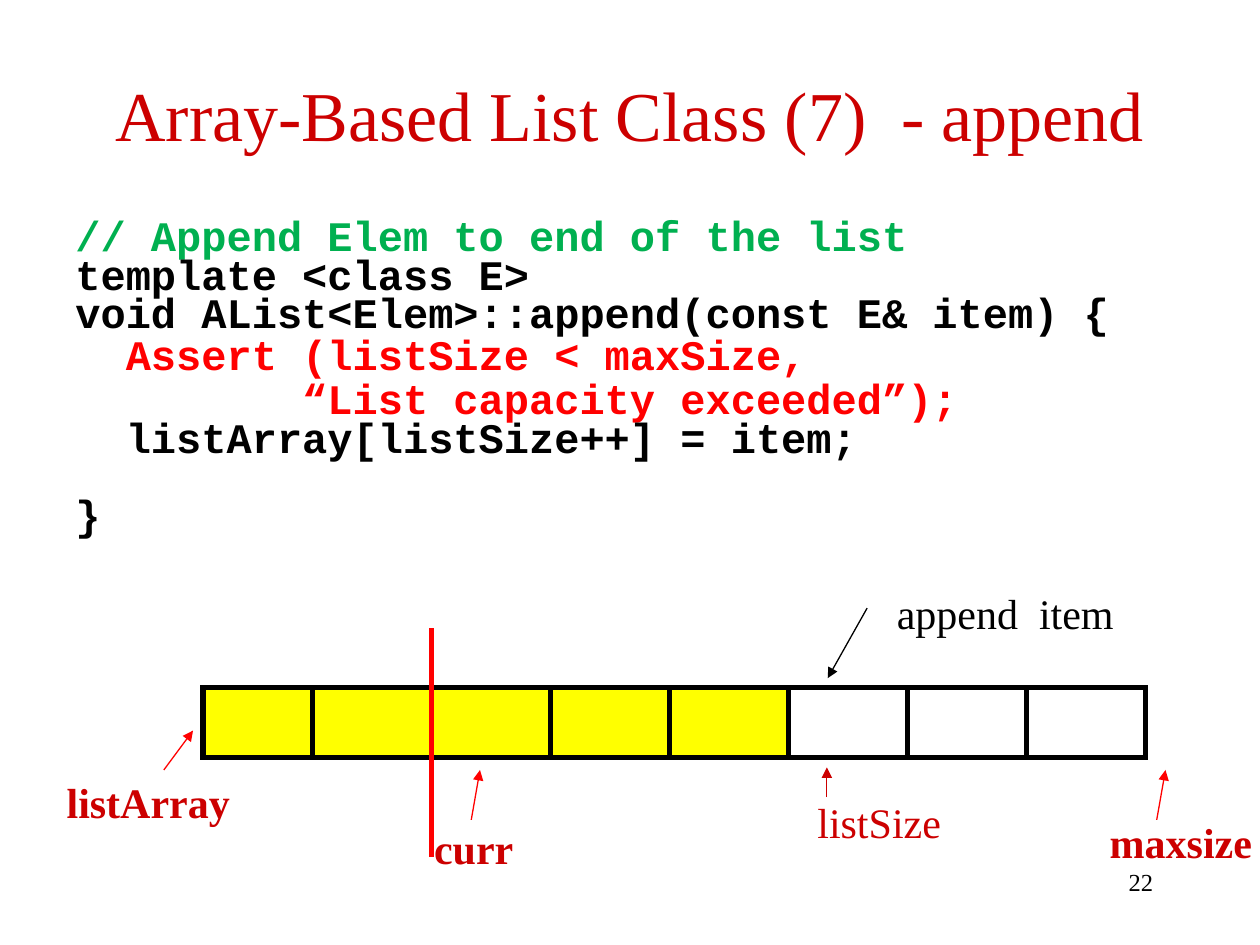
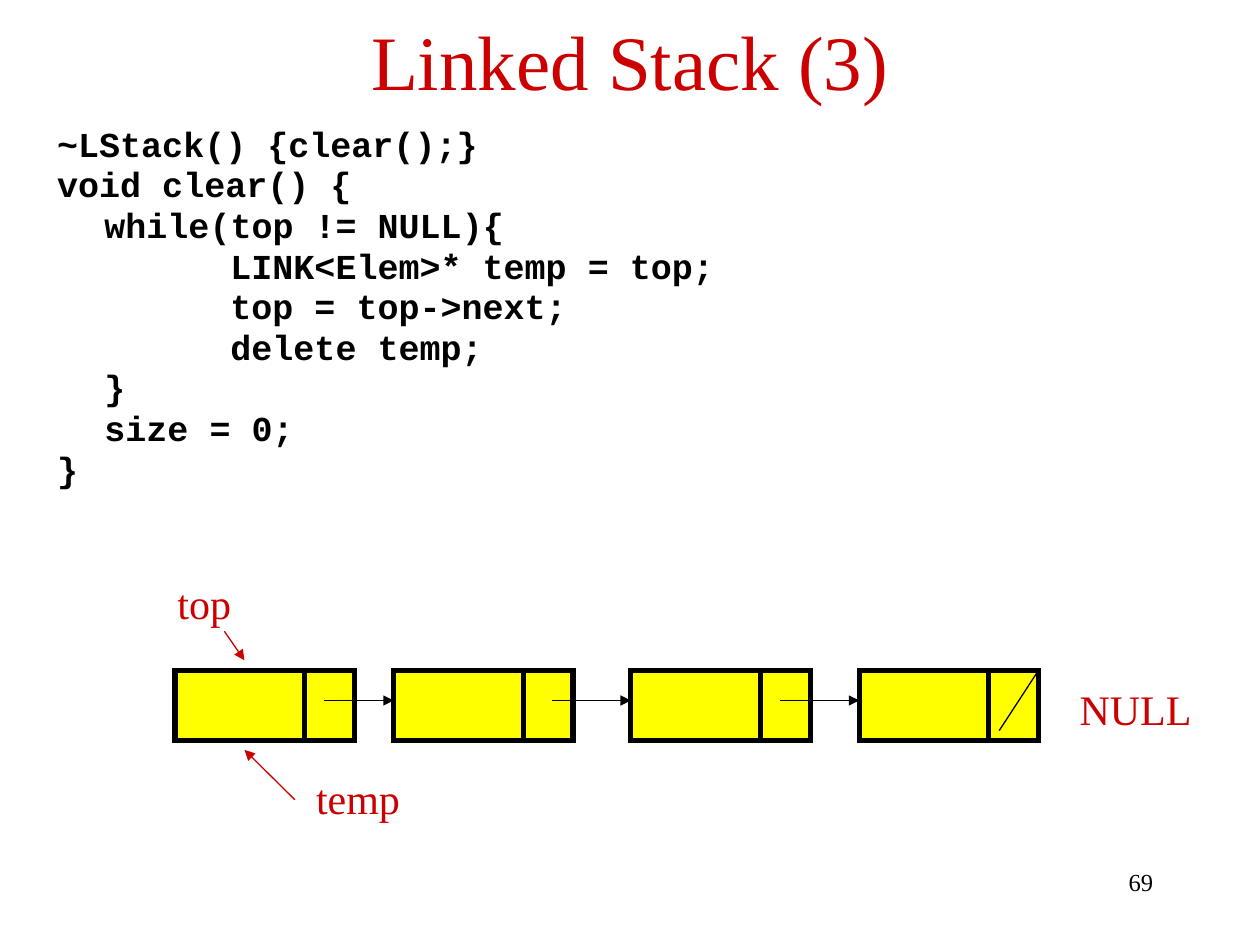
"""Build two slides on list append and linked stack clearing."""
import pptx
import pptx.dml.color
import pptx.enum.shapes
import pptx.enum.text
import pptx.util
from lxml import etree
from pptx.oxml.ns import qn

Pt = pptx.util.Pt
RGBColor = pptx.dml.color.RGBColor
ALIGN = pptx.enum.text.PP_ALIGN
ANCHOR = pptx.enum.text.MSO_ANCHOR

CRIMSON = RGBColor(0xCC, 0x00, 0x00)
RED = RGBColor(0xFF, 0x00, 0x00)
GREEN = RGBColor(0x00, 0xB0, 0x50)
YELLOW = RGBColor(0xFF, 0xFF, 0x00)
BLACK = RGBColor(0x00, 0x00, 0x00)

SERIF, MONO = "Times New Roman", "Courier New"
THICK, THIN = 3, 0.75
BOX_HEIGHT = 39.8
CODE_GAPS = {24: 4.6, 20: 4}

prs = pptx.Presentation()
prs.slide_width, prs.slide_height = Pt(720), Pt(540)


def add_text(slide, box, lines, font, color=BLACK, paragraph=None, frame=None):
    """Add a text box; each line is (text, overrides of color and paragraph values)."""
    text_frame = slide.shapes.add_textbox(*map(Pt, box)).text_frame
    for key, value in {"word_wrap": True, **(frame or {})}.items():
        setattr(text_frame, key, value)
    for index, (text, changes) in enumerate(lines):
        line = text_frame.paragraphs[0] if index == 0 else text_frame.add_paragraph()
        changes = dict(changes)
        line_color = changes.pop("color", color)
        indent = changes.pop("indent", 0)
        for key, value in {**(paragraph or {}), **changes}.items():
            if index or key != "space_before":
                setattr(line, key, value)
        if indent:
            line._p.get_or_add_pPr().set("marL", str(Pt(indent)))
        run = line.add_run()
        run.text = text
        for key, value in font.items():
            setattr(run.font, key, value)
        run.font.color.rgb = line_color


def add_line(slide, start, end, color, width=THIN, arrow=True):
    """Draw a straight line, with an arrowhead at its end if wanted."""
    line = slide.shapes.add_connector(
        pptx.enum.shapes.MSO_CONNECTOR.STRAIGHT, *map(Pt, start + end))
    line.line.color.rgb = color
    line.line.width = Pt(width)
    if arrow:
        etree.SubElement(line.line._get_or_add_ln(), qn("a:tailEnd"), type="triangle")
    etree.SubElement(line._element.spPr, qn("a:effectLst"))


append_code = [
    ("// Append Elem to end of the list", {"color": GREEN}),
    ("template <class E>", {}),
    ("void AList<Elem>::append(const E& item) {", {}),
    ("  Assert (listSize < maxSize,", {"color": RED, "line_spacing": 0.7}),
    ("         “List capacity exceeded”);", {"color": RED, "line_spacing": 0.7}),
    ("  listArray[listSize++] = item;", {}),
    ("}", {"space_before": Pt(26.8)}),
]
clear_code = [
    ("~LStack() {clear();}", {}),
    ("void clear() {", {}),
    ("while(top != NULL){", {"indent": 27}),
    ("LINK<Elem>* temp = top;", {"indent": 99}),
    ("top = top->next;", {"indent": 99}),
    ("delete temp;", {"indent": 99}),
    ("}", {"indent": 27}),
    ("size = 0;", {"indent": 27}),
    ("}", {}),
]

cells = [(116, 68, True)] + [(178.7 + 68 * i, 68, i < 4) for i in range(7)]
node_lefts = [100, 225, 360.5, 491]
nodes = [(left, 102.5, True) for left in node_lefts]

pages = [
    {
        "title": ("Array-Based List Class (7)  - append", 40, 28.8),
        "code": (append_code, 24, 0.6, (36, 126.6, 648, 354)),
        "boxes": (cells, 393),
        "labels": [
            ("listSize", 460, 451.4, 92, CRIMSON, False),
            ("curr", 241, 466.5, 66, CRIMSON, True),
            ("append  item", 505.4, 332, 150, BLACK, False),
            ("maxsize", 627, 463, 96, CRIMSON, True),
            ("listArray", 31, 440, 114, CRIMSON, True),
        ],
        "arrows": [
            ((472.5, 455.5), (472.5, 438.5), CRIMSON),
            ((495.5, 347.5), (473, 387.5), BLACK),
            ((661, 468.5), (666, 440), RED),
            ((269.3, 468.5), (274.3, 440), RED),
            ((93.6, 440), (110.3, 417.5), RED),
        ],
        "strokes": [((246.7, 359), (246.7, 489.5), RED, THICK)],
        "number": "22",
    },
    {
        "title": ("Linked Stack (3)", 44, -2),
        "code": (clear_code, 20, 0.8, (25.6, 70.9, 607, 234)),
        "boxes": (nodes, 383.3),
        "labels": [
            ("top", 94.3, 326.5, 52, CRIMSON, False),
            ("temp", 173.5, 438, 70, CRIMSON, False),
            ("NULL", 609.8, 387, 90, CRIMSON, False),
        ],
        "arrows": [
            ((128.2, 360.7), (139.7, 377.3), CRIMSON),
            ((168.5, 457), (139.7, 428.5), CRIMSON),
        ] + [((start, 400.3), (end, 400.3), BLACK)
             for start, end in zip((185, 315.4, 445.7), node_lefts[1:])],
        "strokes": [((left + 74, 383.3), (left + 74, 423.1), BLACK, THICK)
                    for left in node_lefts]
        + [((571, 417.5), (593.3, 383.3), BLACK, THIN)],
        "number": "69",
    },
]

for page in pages:
    slide = prs.slides.add_slide(prs.slide_layouts[6])

    title, title_size, title_top = page["title"]
    add_text(slide, (36, title_top, 648, 72), [(title, {})],
             {"name": SERIF, "size": Pt(title_size)}, CRIMSON,
             {"alignment": ALIGN.CENTER}, {"vertical_anchor": ANCHOR.MIDDLE})

    code, code_size, spacing, code_box = page["code"]
    add_text(slide, code_box, code,
             {"name": MONO, "size": Pt(code_size), "bold": True},
             paragraph={"line_spacing": spacing,
                        "space_before": Pt(CODE_GAPS[code_size])})

    boxes, box_top = page["boxes"]
    for left, width, filled in boxes:
        element = slide.shapes.add_shape(
            pptx.enum.shapes.MSO_SHAPE.RECTANGLE,
            Pt(left), Pt(box_top), Pt(width), Pt(BOX_HEIGHT))
        element.shadow.inherit = False
        if filled:
            element.fill.solid()
            element.fill.fore_color.rgb = YELLOW
        else:
            element.fill.background()
        element.line.color.rgb = BLACK
        element.line.width = Pt(THICK)
        etree.SubElement(element.line._get_or_add_ln(), qn("a:miter"), lim="800000")

    for start, end, color, width in page["strokes"]:
        add_line(slide, start, end, color, width, arrow=False)
    for start, end, color in page["arrows"]:
        add_line(slide, start, end, color)

    for label, left, top, width, color, bold in page["labels"]:
        add_text(slide, (left, top, width, 36), [(label, {})],
                 {"name": SERIF, "size": Pt(24), "bold": bold}, color)

    add_text(slide, (516, 492, 150, 36), [(page["number"], {})],
             {"name": SERIF, "size": Pt(14)}, paragraph={"alignment": ALIGN.RIGHT})

prs.save("out.pptx")
